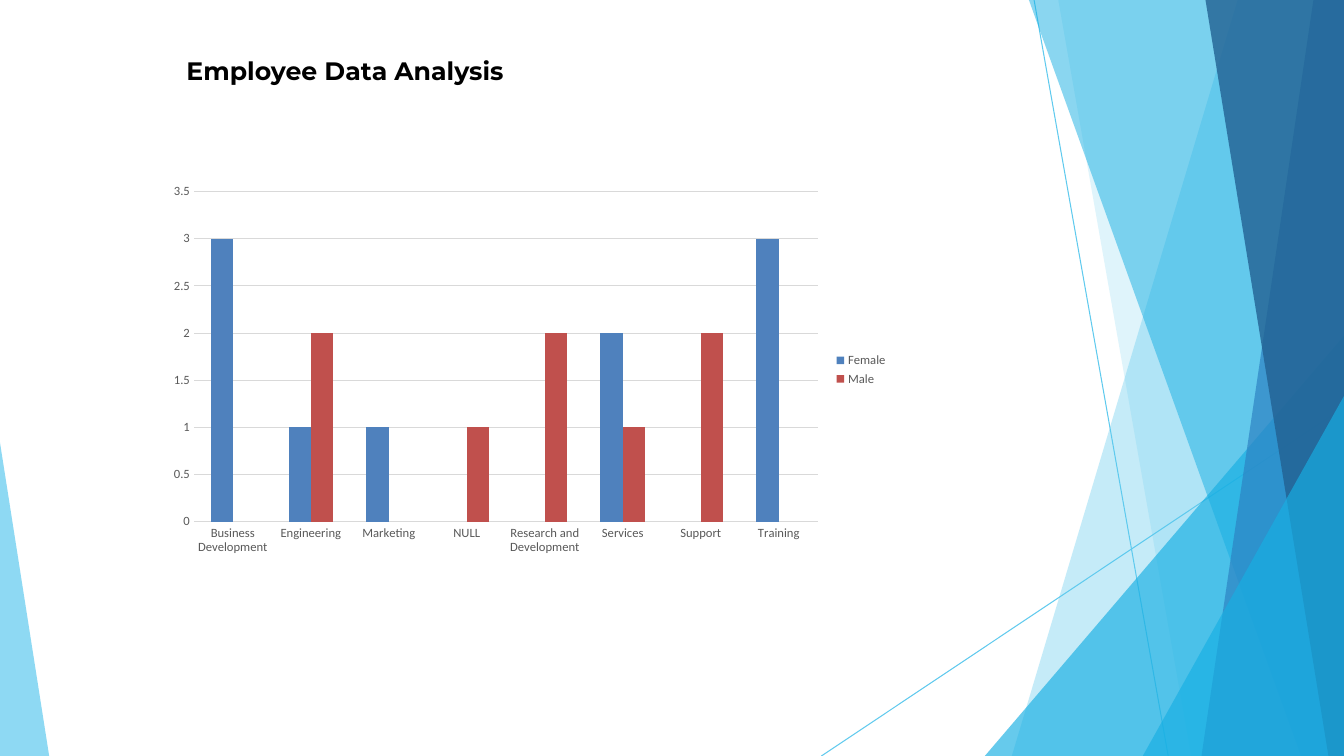
from lxml import etree
from pptx import Presentation
from pptx.chart.data import CategoryChartData
from pptx.dml.color import RGBColor
from pptx.enum import chart as ch, shapes, text
from pptx.oxml.ns import qn
from pptx.util import Cm, Pt

# Content
TITLE = "Employee Data Analysis"
DEPARTMENTS = ["Business Development", "Engineering", "Marketing", "NULL",
               "Research and Development", "Services", "Support", "Training"]
SKY = RGBColor(0x5F, 0xCA, 0xEE)
CYAN = RGBColor(0x17, 0xAF, 0xE3)
BLUE = RGBColor(0x2D, 0x83, 0xC3)
NAVY = RGBColor(0x22, 0x61, 0x92)
BLACK = RGBColor(0, 0, 0)
GREY = RGBColor(0x59, 0x59, 0x59)
GRID = RGBColor(0xD9, 0xD9, 0xD9)
HEADCOUNT = [
    ("Female", [3, 1, 1, None, None, 2, None, 3], RGBColor(0x4F, 0x81, 0xBD)),
    ("Male", [None, 2, None, 1, 2, 1, 2, None], RGBColor(0xC0, 0x50, 0x4D)),
]

# Decoration in cm; every facet reaches the bottom edge
WIDTH, HEIGHT = 33.87, 19.05
RAYS = [((26.06, 0), (29.44, HEIGHT)), ((WIDTH, 10.26), (20.7, HEIGHT))]
# (top left x, top y, bottom left x, colour, opacity %), ending at the right edge
RIGHT_FACETS = [
    (31.19, 0, 25.5, SKY, 36),
    (26.67, 0, 30.02, SKY, 20),
    (WIDTH, 8.46, 24.82, CYAN, 66),
    (25.93, 0, 32.79, CYAN, 50),
    (33.1, 0, 30.28, BLUE, 70),
    (30.38, 0, 33.48, NAVY, 80),
    (WIDTH, 9.98, 28.8, CYAN, 66),
]
LEFT_FACET = [(0, 11.15), (0, HEIGHT), (1.24, HEIGHT)]

prs = Presentation()
prs.slide_width, prs.slide_height = Cm(WIDTH), Cm(HEIGHT)
slide = prs.slides.add_slide(prs.slide_layouts[6])


def add_facet(corners, color, opacity):
    points = [(Cm(x), Cm(y)) for x, y in corners]
    builder = slide.shapes.build_freeform(*points[0])
    builder.add_line_segments(points[1:], close=True)
    facet = builder.convert_to_shape()
    facet.shadow.inherit = False
    facet.line.fill.background()
    facet.fill.solid()
    facet.fill.fore_color.rgb = color
    srgb = facet.fill._xPr.find(".//" + qn("a:srgbClr"))
    etree.SubElement(srgb, qn("a:alpha")).set("val", str(opacity * 1000))


def style_font(font, size, color, name="Calibri"):
    font.size, font.name, font.color.rgb = Pt(size), name, color


# Thin rays
for start, end in RAYS:
    ray = slide.shapes.add_connector(shapes.MSO_CONNECTOR.STRAIGHT,
                                     *(Cm(v) for v in start + end))
    ray.line.color.rgb = SKY
    ray.line.width = Pt(0.75)
    etree.SubElement(ray._element.spPr, qn("a:effectLst"))

# Translucent facets
for top_x, top_y, bottom_x, color, opacity in RIGHT_FACETS:
    add_facet([(WIDTH, top_y), (top_x, top_y), (bottom_x, HEIGHT), (WIDTH, HEIGHT)],
              color, opacity)
add_facet(LEFT_FACET, SKY, 70)

# Title
title = slide.shapes.add_textbox(Cm(4.45), Cm(1.27), Cm(13.54), Cm(1.02)).text_frame
title.word_wrap = True
title.auto_size = text.MSO_AUTO_SIZE.SHAPE_TO_FIT_TEXT
title.text = TITLE
title_font = title.paragraphs[0].runs[0].font
style_font(title_font, 18, BLACK, "Montserrat")
title_font.bold = True

# Headcount chart
data = CategoryChartData()
data.categories = DEPARTMENTS
for gender, counts, _ in HEADCOUNT:
    data.add_series(gender, counts)
chart = slide.shapes.add_chart(ch.XL_CHART_TYPE.COLUMN_CLUSTERED, Cm(4.01), Cm(4.45),
                               Cm(18.62), Cm(9.73), data).chart
style_font(chart.font, 10, BLACK)
chart.has_title = False
chart.has_legend = True
chart.legend.position = ch.XL_LEGEND_POSITION.RIGHT
chart.legend.include_in_layout = False
style_font(chart.legend.font, 9, GREY)

columns = chart.plots[0]
columns.vary_by_categories = False
columns.gap_width = 150
columns.overlap = 0
for series, (_, _, color) in zip(columns.series, HEADCOUNT):
    series.format.fill.solid()
    series.format.fill.fore_color.rgb = color

# Axes
for axis in (chart.category_axis, chart.value_axis):
    axis.major_tick_mark = axis.minor_tick_mark = ch.XL_TICK_MARK.NONE
    axis.format.line.fill.background()
    style_font(axis.tick_labels.font, 9, GREY)
counts_axis = chart.value_axis
counts_axis.minimum_scale, counts_axis.maximum_scale = 0, 3.5
counts_axis.major_unit = 0.5
counts_axis.has_major_gridlines = True
counts_axis.major_gridlines.format.line.color.rgb = GRID
counts_axis.major_gridlines.format.line.width = Pt(0.75)

prs.save("out.pptx")
